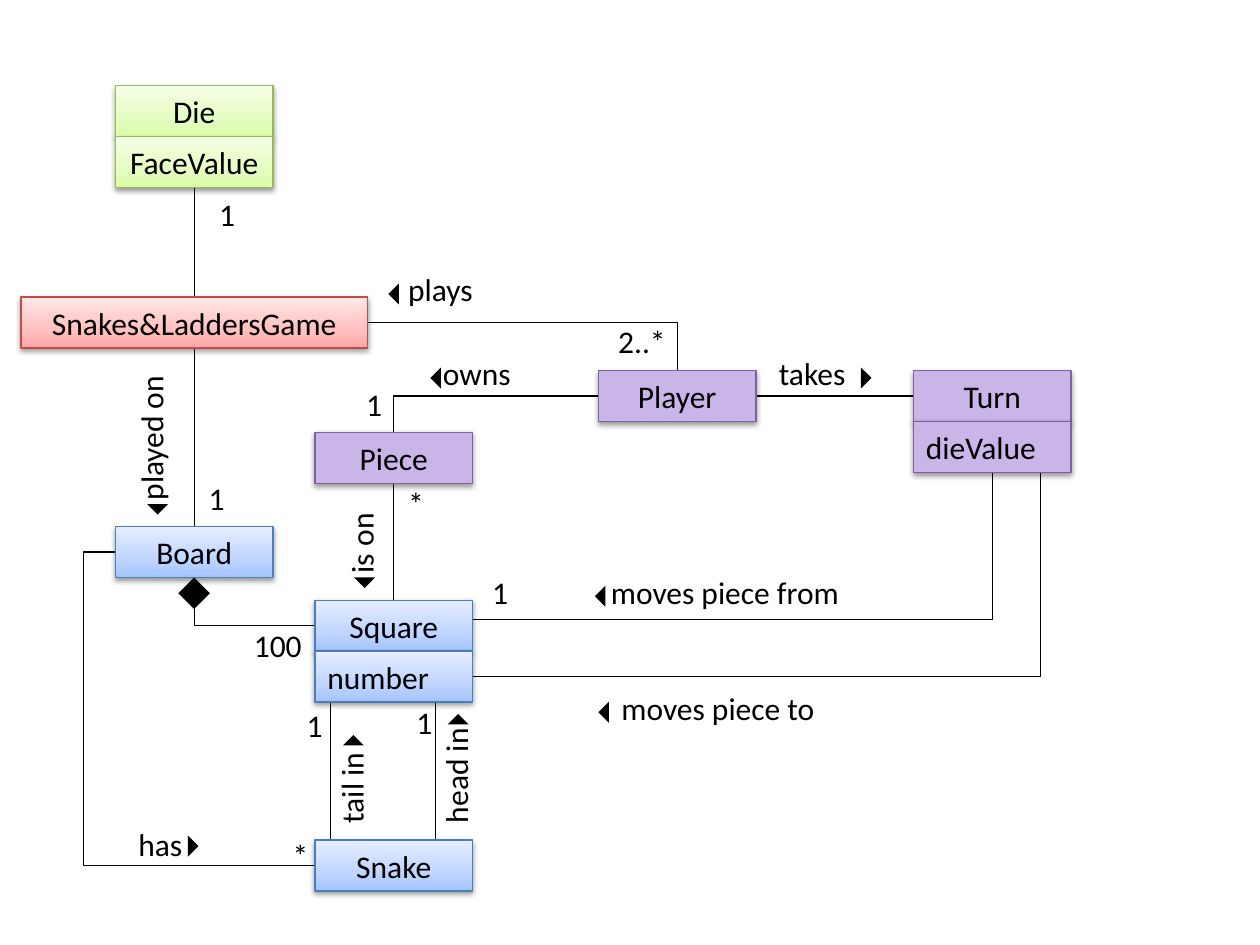
from copy import deepcopy

from lxml import etree
from pptx import Presentation
from pptx.dml.color import RGBColor
from pptx.enum.shapes import MSO_CONNECTOR, MSO_SHAPE
from pptx.enum.text import MSO_ANCHOR, PP_ALIGN
from pptx.oxml.ns import qn
from pptx.util import Pt

RECT = MSO_SHAPE.RECTANGLE
TRI = MSO_SHAPE.ISOSCELES_TRIANGLE
GEM = MSO_SHAPE.FLOWCHART_DECISION
LINE = MSO_CONNECTOR.STRAIGHT
ELBOW = MSO_CONNECTOR.ELBOW
LEFT, MID = PP_ALIGN.LEFT, PP_ALIGN.CENTER

COLORS = {
    "ink": "000000",
    "red": ("FFA6A5", "FFC0BF", "FFE7E7"), "red edge": "BF4C48",
    "green": ("DAFDA7", "E4FCC2", "F5FFE7"), "green edge": "98B955",
    "blue": ("A4C4FF", "BFD4FF", "E6EEFF"), "blue edge": "4B7EBC",
    "purple": "C9B5E8", "purple edge": "7D60A0",
}
STOPS = (0, 0.35, 1)
ROW = 29.1
WIDE = 90


def rgb(text):
    return RGBColor.from_string(text)


class Diagram:
    font = "Calibri"
    size = Pt(18)
    ink = rgb(COLORS["ink"])

    def __init__(self, slide):
        self.slide = slide
        self.shapes = slide.shapes

    def letter(self, frame, text, align):
        frame.word_wrap = True
        frame.text = text
        para = frame.paragraphs[0]
        para.alignment = align
        font = para.runs[0].font
        font.name, font.size = self.font, self.size
        font.color.rgb = self.ink

    def shade(self, shape, tones):
        fill = shape.fill
        fill.gradient()
        fill.gradient_angle = 90
        stops = shape.element.spPr.find(".//" + qn("a:gsLst"))
        stops.insert(1, deepcopy(stops[0]))
        for stop, place, tone in zip(fill.gradient_stops, STOPS, tones):
            stop.position = place
            stop.color.rgb = rgb(tone)

    def drop(self, shape):
        shape.shadow.inherit = False
        effect = shape.element.spPr.find(qn("a:effectLst"))
        shade = etree.SubElement(effect, qn("a:outerShdw"), blurRad="40000",
                                 dist="20000", dir="5400000", rotWithShape="0")
        tone = etree.SubElement(shade, qn("a:srgbClr"), val=COLORS["ink"])
        etree.SubElement(tone, qn("a:alpha"), val="38000")

    def box(self, text, hue, x, y, width=WIDE, align=MID):
        shape = self.shapes.add_shape(RECT, Pt(x), Pt(y), Pt(width), Pt(ROW))
        if isinstance(COLORS[hue], tuple):
            self.shade(shape, COLORS[hue])
        else:
            shape.fill.solid()
            shape.fill.fore_color.rgb = rgb(COLORS[hue])
        shape.line.color.rgb = rgb(COLORS[hue + " edge"])
        shape.line.width = Pt(0.75)
        self.drop(shape)
        shape.text_frame.vertical_anchor = MSO_ANCHOR.MIDDLE
        self.letter(shape.text_frame, text, align)

    def label(self, text, x, y, width, pad=0, turn=0):
        shape = self.shapes.add_textbox(Pt(x), Pt(y), Pt(width), Pt(ROW))
        shape.rotation = turn
        shape.text_frame.margin_left = Pt(7.2 + pad)
        shape.text_frame.margin_right = 0
        self.letter(shape.text_frame, text, LEFT)

    def count(self, text, x, y, width=30):
        self.label(text, x, y, width, pad=4)

    def solid(self, kind, x, y, width, height, turn=0):
        shape = self.shapes.add_shape(kind, Pt(x), Pt(y), Pt(width), Pt(height))
        shape.rotation = turn
        shape.fill.solid()
        shape.fill.fore_color.rgb = self.ink
        shape.line.fill.background()
        shape.shadow.inherit = False

    def arrow(self, x, y, turn):
        self.solid(TRI, x, y, 12, 6, turn)

    def link(self, start, end, kind=LINE):
        ends = [Pt(value) for value in (*start, *end)]
        link = self.shapes.add_connector(kind, *ends)
        link.line.color.rgb = self.ink
        link.line.width = Pt(0.75)
        etree.SubElement(link.element.spPr, qn("a:effectLst"))
        return link.element.spPr.find(qn("a:prstGeom"))

    def bend(self, start, end):
        self.link(start, end, ELBOW).set("prst", "bentConnector2")

    def loop(self, start, end, reach):
        shape = self.link(start, end, ELBOW)
        guides = shape.find(qn("a:avLst"))
        if guides is None:
            guides = etree.SubElement(shape, qn("a:avLst"))
        etree.SubElement(guides, qn("a:gd"), name="adj1",
                         fmla=f"val {round(reach * 100000)}")


def main():
    deck = Presentation()
    deck.slide_width, deck.slide_height = Pt(720), Pt(540)
    art = Diagram(deck.slides.add_slide(deck.slide_layouts[6]))

    for start, end in (
        ((111, 107), (111, 169.8)),
        ((111, 198.8), (111, 301)),
        ((225, 276), (225, 343)),
        ((432, 226.3), (522, 226.3)),
        ((189, 401), (189, 480)),
        ((249, 401), (249, 480)),
    ):
        art.link(start, end)

    for start, end in (
        ((210, 184.4), (387, 211.7)),
        ((342, 226.3), (225, 247)),
        ((180, 357.4), (111, 330)),
        ((270, 354), (567, 270)),
        ((270, 386.5), (594.5, 270)),
    ):
        art.bend(start, end)
    art.loop((180, 494.5), (66, 315.5), 1.16)

    art.box("Snakes&LaddersGame", "red", 12, 169.8, width=198)
    art.box("Die", "green", 66, 49)
    art.box("FaceValue", "green", 66, 49 + ROW)
    art.box("Player", "purple", 342, 211.7)
    art.box("Piece", "purple", 180, 247)
    art.box("Turn", "purple", 522, 211.7)
    art.box("dieValue", "purple", 522, 211.7 + ROW, align=LEFT)
    art.box("Board", "blue", 66, 301)
    art.box("Square", "blue", 180, 343)
    art.box("number", "blue", 180, 343 + ROW, align=LEFT)
    art.box("Snake", "blue", 180, 480)
    art.solid(GEM, 102, 330, 18, 18)

    art.label("plays", 210, 151, 84, pad=16)
    art.label("owns", 246, 199, 84)
    art.label("takes", 438, 199, 72)
    art.label("played on", 32.4, 232.6, 108, pad=8, turn=270)
    art.label("is on", 173.5, 295.2, 66, pad=8, turn=270)
    art.label("tail in", 172, 434.2, 57.6, turn=270)
    art.label("head in", 226, 428.4, 69, turn=270)
    art.label("has", 72, 468, 84)
    art.label("moves piece from", 342, 324, 162)
    art.label("moves piece to", 348, 390.2, 126)
    art.label("100", 138, 354.2, 42)

    art.count("2..*", 342, 180.7, width=48)
    for text, x, y in (
        ("1", 114, 108), ("1", 108, 270), ("1", 198, 216.7),
        ("*", 222, 273), ("1", 270, 324), ("1", 164, 399.6),
        ("1", 226.8, 398.2), ("*", 156, 474),
    ):
        art.count(text, x, y)

    for x, y, turn in (
        (219, 165, 270), (243, 213, 270), (489, 213, 90),
        (84, 288, 180), (202.3, 330, 180), (337, 337.7, 270),
        (339, 404, 270), (196, 420, 0), (255.8, 408, 0), (104.4, 480.5, 90),
    ):
        art.arrow(x, y, turn)

    deck.save("out.pptx")


if __name__ == "__main__":
    main()
